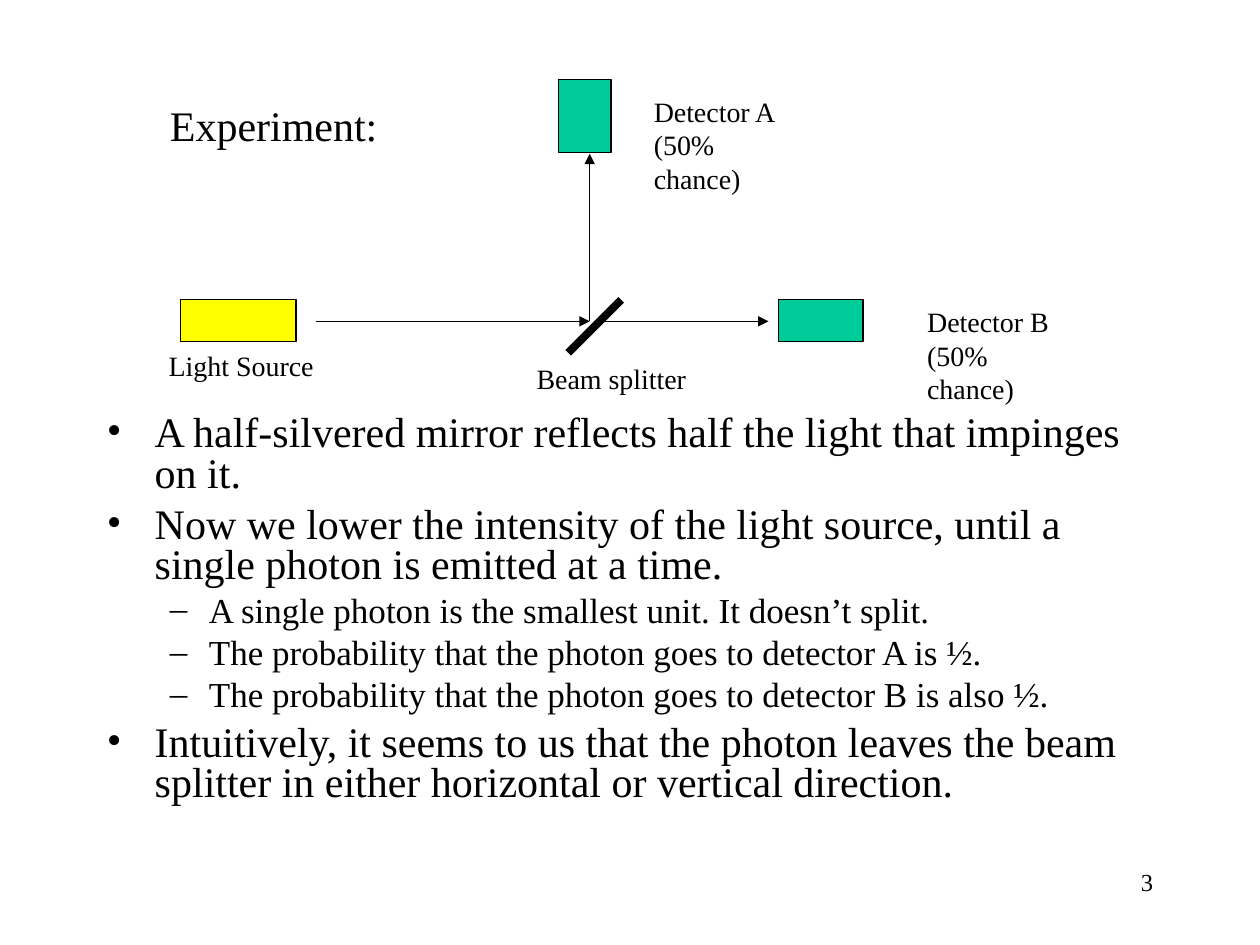
from lxml.etree import SubElement
from pptx import Presentation
from pptx.dml.color import RGBColor
from pptx.enum.shapes import MSO_CONNECTOR, MSO_SHAPE
from pptx.enum.text import MSO_AUTO_SIZE, PP_ALIGN
from pptx.oxml.ns import qn
from pptx.util import Inches, Pt

FONT = "Times New Roman"
BLACK, GREEN, YELLOW = "000000", "00CC99", "FFFF00"

# Content: text by outline level
BULLETS = [
    (0, "A half-silvered mirror reflects half the light that impinges on it."),
    (0, "Now we lower the intensity of the light source, until a single photon is emitted at a time."),
    (1, "A single photon is the smallest unit. It doesn’t split."),
    (1, "The probability that the photon goes to detector A is ½."),
    (1, "The probability that the photon goes to detector B is also ½."),
    (0, "Intuitively, it seems to us that the photon leaves the beam splitter in either "
        "horizontal or vertical direction."),
]
# Per level: bullet, size, space before, left margin, hanging indent
LEVELS = [("•", 24, 6, 0.38, 0.38), ("–", 20, 5, 0.81, 0.31)]

# Apparatus: the beam runs along BEAM_Y and splits at SPLIT_X
BEAM_Y, SPLIT_X = 2.55, 4.68
DEVICES = [  # left, top, width, height, fill
    (6.18, 2.38, 0.67, 0.33, GREEN),
    (4.43, 0.63, 0.42, 0.58, GREEN),
    (1.43, 2.38, 0.92, 0.33, YELLOW),
]
BEAMS = [  # start, end
    ((SPLIT_X, BEAM_Y), (SPLIT_X, 1.22)),
    ((4.76, BEAM_Y), (6.1, BEAM_Y)),
    ((2.51, BEAM_Y), (SPLIT_X, BEAM_Y)),
]
SPLITTER = ((4.93, 2.38), (4.51, 2.8))
LABELS = [  # left, top, width, height, size, lines
    (5.09, 0.7, 1.42, 0.64, 16, ["Detector A", "(50% chance)"]),
    (7.26, 2.37, 1.42, 0.64, 16, ["Detector B", "(50% chance)"]),
    (1.24, 2.72, 1.35, 0.37, 16, ["Light Source"]),
    (4.16, 2.82, 1.39, 0.37, 16, ["Beam splitter"]),
    (1.25, 0.74, 1.85, 0.5, 24, ["Experiment:"]),
]


def color(hex_string):
    return RGBColor.from_string(hex_string)


def add_frame(slide, left, top, width, height, wrap):
    frame = slide.shapes.add_textbox(*map(Inches, (left, top, width, height))).text_frame
    frame.word_wrap = wrap
    return frame


def write(paragraph, text, size):
    paragraph.add_run().text = text
    paragraph.font.name = FONT
    paragraph.font.size = Pt(size)
    paragraph.font.color.rgb = color(BLACK)


def add_lines(frame, lines, size):
    for i, line in enumerate(lines):
        paragraph = frame.add_paragraph() if i else frame.paragraphs[0]
        write(paragraph, line, size)


def add_bullet(paragraph, char, margin, hanging):
    props = paragraph._p.get_or_add_pPr()
    props.set("marL", str(Inches(margin)))
    props.set("indent", str(-Inches(hanging)))
    SubElement(SubElement(props, qn("a:buClr")), qn("a:srgbClr"), val=BLACK)
    SubElement(props, qn("a:buFont"), typeface=FONT)
    SubElement(props, qn("a:buChar"), char=char)


def add_line(slide, start, end, width, arrow=False):
    line = slide.shapes.add_connector(MSO_CONNECTOR.STRAIGHT, *map(Inches, start + end))
    line.line.color.rgb = color(BLACK)
    line.line.width = Pt(width)
    if arrow:
        SubElement(line.line._get_or_add_ln(), qn("a:tailEnd"), type="triangle")
    SubElement(line._element.spPr, qn("a:effectLst"))


def add_device(slide, left, top, width, height, fill):
    device = slide.shapes.add_shape(MSO_SHAPE.RECTANGLE, *map(Inches, (left, top, width, height)))
    device.shadow.inherit = False
    device.fill.solid()
    device.fill.fore_color.rgb = color(fill)
    device.line.color.rgb = color(BLACK)
    device.line.width = Pt(0.75)


def main():
    prs = Presentation()
    prs.slide_width, prs.slide_height = Inches(10), Inches(7.5)
    slide = prs.slides.add_slide(prs.slide_layouts[6])

    # Page number
    page_number = add_frame(slide, 7.17, 6.83, 2.08, 0.5, True)
    add_lines(page_number, ["3"], 14)
    page_number.paragraphs[0].alignment = PP_ALIGN.RIGHT

    # Explanation
    explanation = add_frame(slide, 0.75, 3.25, 8.5, 3.42, True)
    for i, (level, text) in enumerate(BULLETS):
        char, size, space, margin, hanging = LEVELS[level]
        paragraph = explanation.add_paragraph() if i else explanation.paragraphs[0]
        paragraph.level = level
        add_bullet(paragraph, char, margin, hanging)
        paragraph.line_spacing = 0.8
        if i:
            paragraph.space_before = Pt(space)
        write(paragraph, text, size)

    # Experiment diagram
    add_line(slide, *SPLITTER, 4.5)
    for start, end in BEAMS:
        add_line(slide, start, end, 0.75, arrow=True)
    for device in DEVICES:
        add_device(slide, *device)
    for *place, size, lines in LABELS:
        label = add_frame(slide, *place, False)
        label.auto_size = MSO_AUTO_SIZE.SHAPE_TO_FIT_TEXT
        add_lines(label, lines, size)

    prs.save("out.pptx")


if __name__ == "__main__":
    main()
